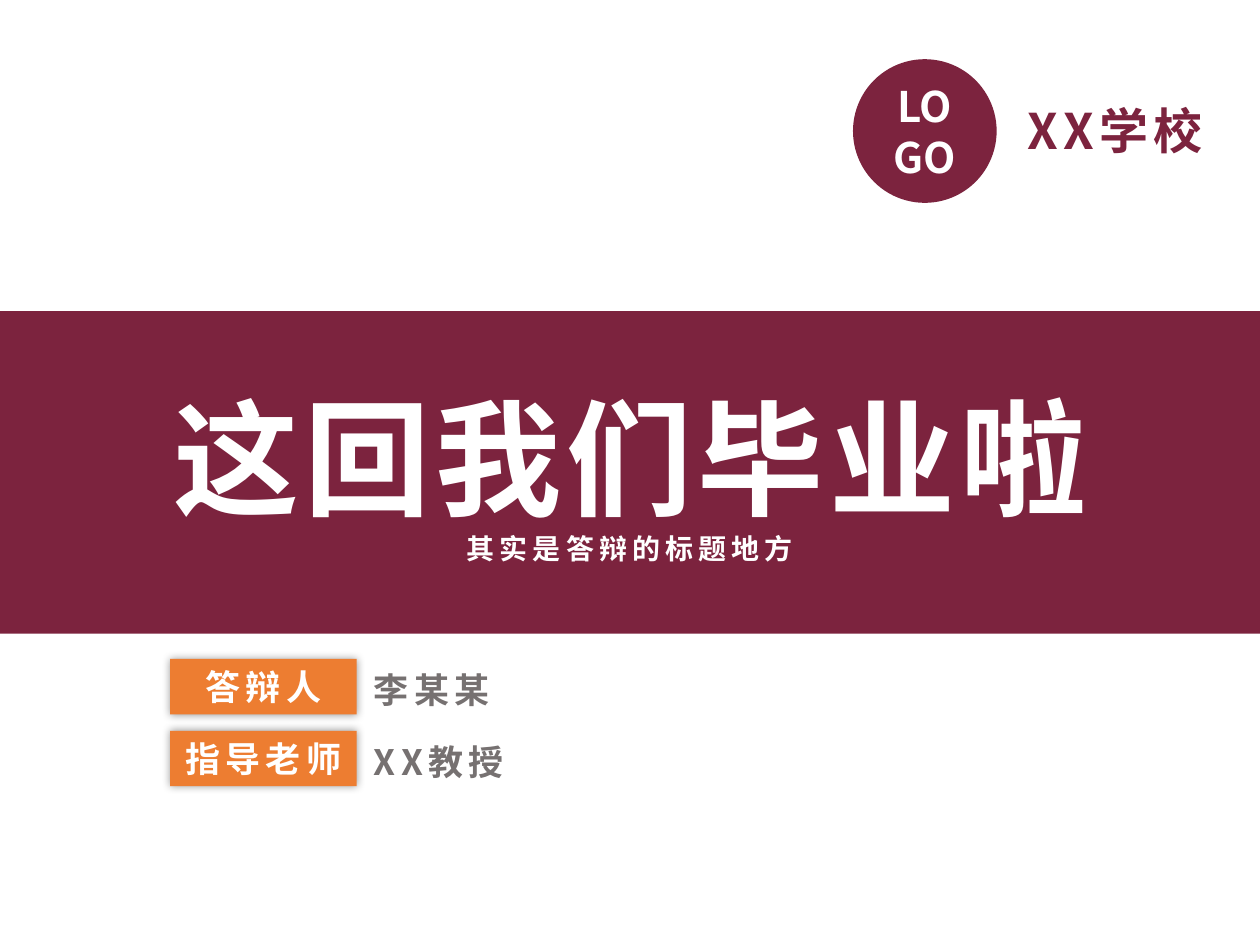
from lxml import etree
from pptx import Presentation
from pptx.dml.color import RGBColor
from pptx.enum.shapes import MSO_SHAPE
from pptx.enum.text import MSO_ANCHOR, MSO_AUTO_SIZE, PP_ALIGN
from pptx.oxml import parse_xml
from pptx.oxml.ns import qn
from pptx.util import Inches, Pt

FONT = "Noto Sans CJK SC"
WINE = RGBColor(0x7C, 0x23, 0x3E)
ORANGE = RGBColor(0xED, 0x7D, 0x31)
GREY = RGBColor(0x76, 0x71, 0x71)
WHITE = RGBColor(0xFF, 0xFF, 0xFF)
SHADOW = (
    '<a:effectLst xmlns:a="http://schemas.openxmlformats.org/drawingml/2006/main">'
    '<a:outerShdw blurRad="63500" dist="0" dir="0" algn="ctr" rotWithShape="0">'
    '<a:srgbClr val="000000"><a:alpha val="40000"/></a:srgbClr>'
    '</a:outerShdw></a:effectLst>'
)


def write(sp, lines, color, align, spacing=3):
    """Fill a shape with (text, size) lines in the bold slide font."""
    tf = sp.text_frame
    tf.word_wrap = True
    tf.vertical_anchor = MSO_ANCHOR.MIDDLE
    for i, (text, size) in enumerate(lines):
        p = tf.paragraphs[0] if i == 0 else tf.add_paragraph()
        p.alignment = align
        r = p.add_run()
        r.text = text
        r.font.name, r.font.size, r.font.bold = FONT, Pt(size), True
        r.font.color.rgb = color
        rPr = r.font._element
        rPr.set("spc", str(spacing * 100))
        ea = etree.SubElement(rPr, qn("a:ea"))
        ea.set("typeface", FONT)


def add_block(kind, left, top, width, height, fill):
    sp = s.shapes.add_shape(kind, Inches(left), Inches(top), Inches(width), Inches(height))
    sp.shadow.inherit = False
    sp.fill.solid()
    sp.fill.fore_color.rgb = fill
    sp.line.fill.background()
    return sp


prs = Presentation()
prs.slide_width, prs.slide_height = Inches(10), Inches(7.5)
s = prs.slides.add_slide(prs.slide_layouts[5])

# School badge and name
badge = add_block(MSO_SHAPE.OVAL, 6.77, 0.47, 1.14, 1.14, WINE)
write(badge, [("LOGO", 24)], WHITE, PP_ALIGN.CENTER, spacing=0)
school = s.shapes.add_textbox(Inches(8.06), Inches(0.75), Inches(1.77), Inches(0.57))
write(school, [("XX学校", 28)], WINE, PP_ALIGN.LEFT)

# Title band, with the title brought in front of it
band = add_block(MSO_SHAPE.RECTANGLE, 0, 2.47, 10, 2.56, WINE)
title = s.shapes.title
title.left, title.top = Inches(1.16), Inches(2.96)
title.width, title.height = Inches(7.68), Inches(1.58)
write(title, [("这回我们毕业啦", 72), ("其实是答辩的标题地方", 16)], WHITE, PP_ALIGN.CENTER)
title.text_frame.auto_size = MSO_AUTO_SIZE.NONE
band._element.addnext(title._element)

# Candidate and supervisor
people = [("答辩人", "李某某"), ("指导老师", "XX教授")]
for i, (role, name) in enumerate(people):
    top = 5.23 + 0.57 * i
    label = add_block(MSO_SHAPE.RECTANGLE, 1.35, top, 1.48, 0.44, ORANGE)
    spPr = label._element.spPr
    spPr.replace(spPr.find(qn("a:effectLst")), parse_xml(SHADOW))
    write(label, [(role, 20)], WHITE, PP_ALIGN.CENTER)
    person = s.shapes.add_textbox(Inches(2.87), Inches(top + 0.02), Inches(1.77), Inches(0.44))
    write(person, [(name, 20)], GREY, PP_ALIGN.LEFT)

prs.save("out.pptx")
